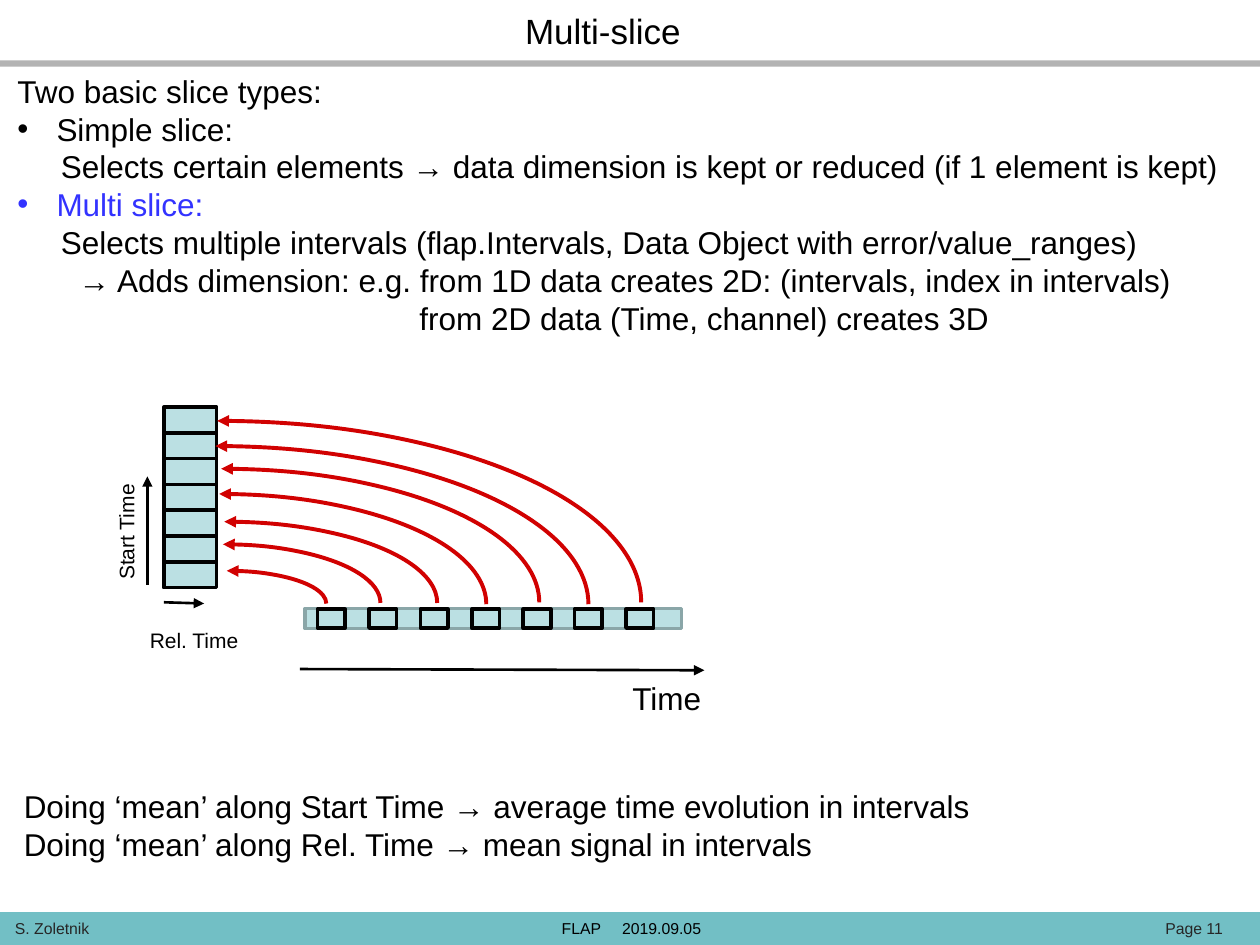
from typing import NamedTuple

from lxml.etree import SubElement
from pptx import Presentation
from pptx.dml.color import RGBColor
from pptx.enum.shapes import MSO_CONNECTOR, MSO_SHAPE
from pptx.enum.text import MSO_ANCHOR, PP_ALIGN
from pptx.oxml.ns import qn
from pptx.util import Inches, Pt

COLORS = {
    "black": "000000", "footer text": "262626", "footer": "72BFC5",
    "rule": "B3B3B3", "data": "BBE0E3", "data edge": "8AA6A8",
    "arc": "D10101", "highlight": "3333FF",
}
FONT = "Arial"
COLUMNS, ROWS = 100, 75
INTERVALS = 7

presentation = Presentation()
presentation.slide_width, presentation.slide_height = Inches(10), Inches(7.5)
slide = presentation.slides.add_slide(presentation.slide_layouts[6])


class Box(NamedTuple):
    """A frame in grid columns and rows."""
    left: float
    top: float
    width: float
    height: float


class Line(NamedTuple):
    text: str
    indent: float = 0  # columns
    bullet: bool = False
    color: str = "black"


class Label(NamedTuple):
    box: Box
    lines: list[Line]
    size: float
    pitch: float | None = None  # points from line to line
    centered: bool = False
    rotation: float = 0


class Arrow(NamedTuple):
    start: tuple[float, float]
    end: tuple[float, float]


class Arc(NamedTuple):
    """A quarter ellipse from its arrowhead to its foot on the time axis."""
    head_column: float
    head_row: float
    foot_column: float
    foot_row: float


def column(value: float) -> int:
    return round(presentation.slide_width * value / COLUMNS)


def row(value: float) -> int:
    return round(presentation.slide_height * value / ROWS)


def frame(box: Box) -> tuple[int, int, int, int]:
    return column(box.left), row(box.top), column(box.width), row(box.height)


def color(name: str) -> RGBColor:
    return RGBColor.from_string(COLORS[name])


def draw_rectangle(shapes, box: Box, fill: str, edge: str | None = None) -> None:
    shape = shapes.add_shape(MSO_SHAPE.RECTANGLE, *frame(box))
    shape.shadow.inherit = False
    shape.fill.solid()
    shape.fill.fore_color.rgb = color(fill)
    if edge:
        shape.line.color.rgb = color(edge)
        shape.line.width = Pt(2)
    else:
        shape.line.fill.background()


def draw_label(label: Label) -> None:
    shape = slide.shapes.add_textbox(*frame(label.box))
    shape.rotation = label.rotation
    text_frame = shape.text_frame
    text_frame.word_wrap = True
    if label.centered:
        text_frame.vertical_anchor = MSO_ANCHOR.MIDDLE
    text_frame.text = "\n".join(line.text for line in label.lines)
    for paragraph, line in zip(text_frame.paragraphs, label.lines):
        paragraph.alignment = PP_ALIGN.CENTER if label.centered else PP_ALIGN.LEFT
        if label.pitch:
            paragraph.line_spacing = Pt(label.pitch)
        font = paragraph.runs[0].font
        font.name, font.size, font.color.rgb = FONT, Pt(label.size), color(line.color)
        properties = paragraph._p.get_or_add_pPr()
        properties.set("marL", str(column(line.indent)))
        properties.set("indent", str(-column(line.indent) if line.bullet else 0))
        if line.bullet:
            SubElement(properties, qn("a:buFont"), typeface=FONT)
            SubElement(properties, qn("a:buChar"), char="•")


def draw_arrow(arrow: Arrow) -> None:
    (left, top), (right, bottom) = arrow
    connector = slide.shapes.add_connector(
        MSO_CONNECTOR.STRAIGHT, column(left), row(top), column(right), row(bottom))
    connector.line.color.rgb = color("black")
    connector.line.width = Pt(1.5)
    SubElement(connector.line._get_or_add_ln(), qn("a:tailEnd"), type="triangle")
    SubElement(connector._element.spPr, qn("a:effectLst"))


def draw_arc(arc: Arc) -> None:
    radius_x = arc.foot_column - arc.head_column
    radius_y = arc.foot_row - arc.head_row
    box = Box(arc.head_column - radius_x, arc.head_row, 2 * radius_x, 2 * radius_y)
    shape = slide.shapes.add_shape(MSO_SHAPE.ARC, *frame(box))
    shape.shadow.inherit = False
    shape.fill.background()
    shape.line.color.rgb = color("arc")
    shape.line.width = Pt(2.25)
    SubElement(shape.line._get_or_add_ln(), qn("a:headEnd"), type="triangle")


# Footer band and title rule
draw_rectangle(slide.shapes, Box(0, 72.4, 100, 2.6), "footer")
draw_rectangle(slide.shapes, Box(-0.3, 4.8, 100.3, 0.5), "rule")

# Footer, title, body and conclusion
FOOTER = [
    (0.2, 20, Line("S. Zoletnik", color="footer text")),
    (43.6, 6, Line("FLAP")),
    (48.4, 12, Line("2019.09.05")),
    (91.5, 8.2, Line("Page 11", color="footer text")),
]
BODY = [
    Line("Two basic slice types:"),
    Line("Simple slice:", 3.1, True),
    Line("Selects certain elements → data dimension is kept or reduced "
         "(if 1 element is kept)", 3.45),
    Line("Multi slice:", 3.1, True, "highlight"),
    Line("Selects multiple intervals (flap.Intervals, Data Object with "
         "error/value_ranges)", 3.45),
    Line("→ Adds dimension: e.g. from 1D data creates 2D: "
         "(intervals, index in intervals)", 4.85),
    Line("from 2D data (Time, channel) creates 3D", 31.9),
]
CONCLUSION = [
    Line("Doing ‘mean’ along Start Time → average time evolution in intervals"),
    Line("Doing ‘mean’ along Rel. Time → mean signal in intervals"),
]
LABELS = [
    *(Label(Box(left, 72.4, width, 2.5), [line], 9) for left, width, line in FOOTER),
    Label(Box(0.4, 5.2, 98.9, 25.2), BODY, 18, pitch=21.6),
    Label(Box(17.9, 0.7, 59.9, 3.4), [Line("Multi-slice")], 20, centered=True),
    Label(Box(49.2, 53.4, 12.8, 4), [Line("Time")], 18),
    Label(Box(10.9, 49.3, 12.8, 3), [Line("Rel. Time")], 12),
    Label(Box(3.6, 39.1, 12.8, 3), [Line("Start Time")], 12, rotation=270),
    Label(Box(0.9, 62, 98.9, 7.1), CONCLUSION, 18, pitch=21.6),
]
for label in LABELS:
    draw_label(label)

# Signal along time with its selected intervals
signal = slide.shapes.add_group_shape()
draw_rectangle(signal.shapes, Box(24.2, 48.3, 29.9, 1.6), "data", "data edge")
for index in range(INTERVALS):
    draw_rectangle(signal.shapes, Box(25.2 + 4.08 * index, 48.35, 2.2, 1.5),
                   "data", "black")

# Intervals stacked by start time
stack = slide.shapes.add_group_shape()
for index in range(INTERVALS):
    draw_rectangle(stack.shapes, Box(13, 32.3 + 2.05 * index, 4.2, 2.05),
                   "data", "black")

# Each interval moves to its row of the stack
ARCS = [
    Arc(18, 45.3, 25.9, 47.9),
    Arc(17.7, 43.2, 30.2, 47.85),
    Arc(17.8, 41.4, 34.7, 47.85),
    Arc(17.4, 39.2, 38.6, 47.95),
    Arc(17.55, 37.2, 42.8, 47.8),
    Arc(17.1, 35.4, 46.7, 47.95),
    Arc(17.25, 33.4, 50.9, 47.8),
]
for arc in ARCS:
    draw_arc(arc)

# Axes: time, relative time and start time
for arrow in (
    Arrow((23.8, 53.1), (55.9, 53.2)),
    Arrow((13, 47.8), (16.2, 47.9)),
    Arrow((11.7, 46.4), (11.7, 37.8)),
):
    draw_arrow(arrow)

presentation.save("out.pptx")
